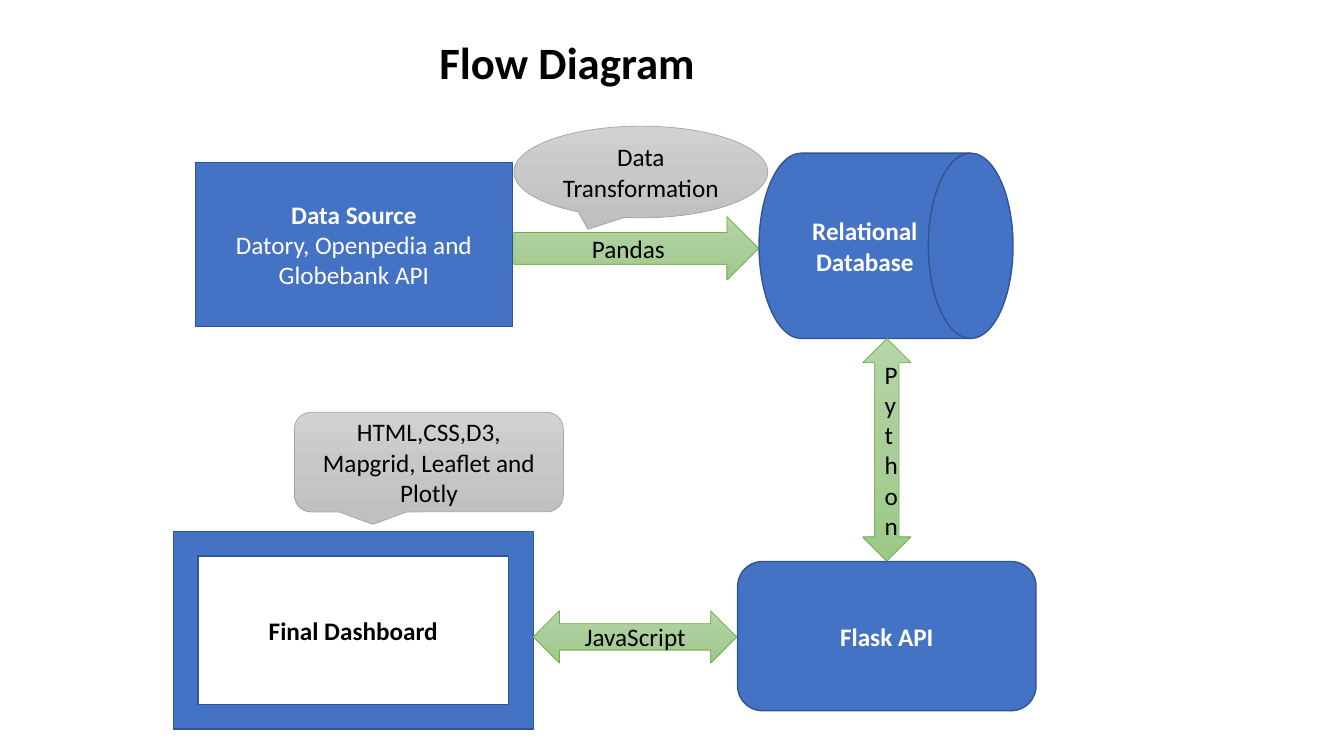
from copy import deepcopy

from pptx import Presentation, util as u
from pptx.dml import color
from pptx.enum import shapes, text
from pptx.oxml import ns

Kind = shapes.MSO_SHAPE
BLUE, BLUE_EDGE = "4472C4", "325491"
GREENS, GREEN_EDGE = ("B5D5A7", "AACE9A", "9CC987"), "70AD47"
GREYS, GREY_EDGE = ("D2D2D2", "C8C8C8", "C0C0C0"), "A5A5A5"
BLACK, WHITE = "000000", "FFFFFF"


def rgb(hex_code):
    return color.RGBColor.from_string(hex_code)


class FlowSlide:
    font = "Calibri"
    label_size = 18
    title_size = 32

    def __init__(self, deck):
        self.slide = deck.slides.add_slide(deck.slide_layouts[5])

    def add_wording(self, paragraph, wording, size, ink, bold):
        run = paragraph.add_run()
        run.text = wording
        run.font.name, run.font.size = self.font, u.Pt(size)
        run.font.color.rgb, run.font.bold = rgb(ink), bold

    def title(self, wording, box):
        heading = self.slide.shapes.title
        heading.left, heading.top, heading.width, heading.height = map(u.Cm, box)
        frame = heading.text_frame
        frame.vertical_anchor = text.MSO_ANCHOR.TOP
        frame.auto_size = text.MSO_AUTO_SIZE.SHAPE_TO_FIT_TEXT
        frame.word_wrap = True
        frame.paragraphs[0].alignment = text.PP_ALIGN.LEFT
        self.add_wording(frame.paragraphs[0], wording, self.title_size, BLACK, True)

    def shade(self, shape, tones):
        """Fill from top to bottom with three evenly spaced tones."""
        shape.fill.gradient()
        shape.fill.gradient_angle = 270
        stops = shape.element.spPr.find(".//" + ns.qn("a:gsLst"))
        stops.insert(1, deepcopy(stops[0]))
        for index, (stop, tone) in enumerate(zip(shape.fill.gradient_stops, tones)):
            stop.position = index / 2
            stop.color.rgb = rgb(tone)

    def figure(self, kind, box, edge, edge_width, lines, ink):
        """Add an outlined shape; lines holds (wording, bold) pairs."""
        shape = self.slide.shapes.add_shape(kind, *map(u.Cm, box))
        shape.shadow.inherit = False
        shape.line.color.rgb, shape.line.width = rgb(edge), u.Pt(edge_width)
        frame = shape.text_frame
        frame.word_wrap = True
        frame.vertical_anchor = text.MSO_ANCHOR.MIDDLE
        paragraph = frame.paragraphs[0]
        paragraph.alignment = text.PP_ALIGN.CENTER
        for index, (wording, bold) in enumerate(lines):
            if index:
                paragraph.add_line_break()
            self.add_wording(paragraph, wording, self.label_size, ink, bold)
        return shape

    def stage(self, kind, box, *lines, ink=WHITE):
        shape = self.figure(kind, box, BLUE_EDGE, 1, lines, ink)
        shape.fill.solid()
        shape.fill.fore_color.rgb = rgb(BLUE)

    def arrow(self, kind, box, wording):
        self.shade(self.figure(kind, box, GREEN_EDGE, 0.5, [(wording, False)], BLACK), GREENS)

    def callout(self, kind, box, wording):
        self.shade(self.figure(kind, box, GREY_EDGE, 0.5, [(wording, False)], BLACK), GREYS)


def main():
    deck = Presentation()
    deck.slide_width, deck.slide_height = u.Cm(33.87), u.Cm(19.05)
    flow = FlowSlide(deck)

    flow.title("Flow Diagram", (10.82, 0.74, 15.98, 1.63))

    flow.stage(Kind.RECTANGLE, (4.93, 4.09, 7.98, 4.14),
               ("Data Source", True), ("Datory, Openpedia and Globebank API", False))
    flow.arrow(Kind.RIGHT_ARROW, (12.95, 5.46, 6.17, 1.6), "Pandas")
    flow.stage(Kind.FLOWCHART_DIRECT_ACCESS_STORAGE, (19.13, 3.86, 6.4, 4.67),
               ("Relational Database", True))
    flow.stage(Kind.FLOWCHART_ALTERNATE_PROCESS, (18.59, 14.15, 7.52, 3.76),
               ("Flask API", True))
    flow.stage(Kind.FRAME, (4.37, 13.39, 9.07, 4.98), ("Final Dashboard", True), ink=BLACK)
    flow.callout(Kind.ROUNDED_RECTANGULAR_CALLOUT, (7.42, 10.39, 6.78, 2.51),
                 "HTML,CSS,D3, Mapgrid, Leaflet and Plotly")
    flow.arrow(Kind.LEFT_RIGHT_ARROW, (13.44, 15.39, 5.13, 1.32), "JavaScript")
    flow.arrow(Kind.UP_DOWN_ARROW, (21.74, 8.53, 1.22, 5.61), "Python")
    flow.callout(Kind.OVAL_CALLOUT, (12.95, 3.18, 6.4, 2.31), "Data Transformation")

    deck.save("out.pptx")


if __name__ == "__main__":
    main()
